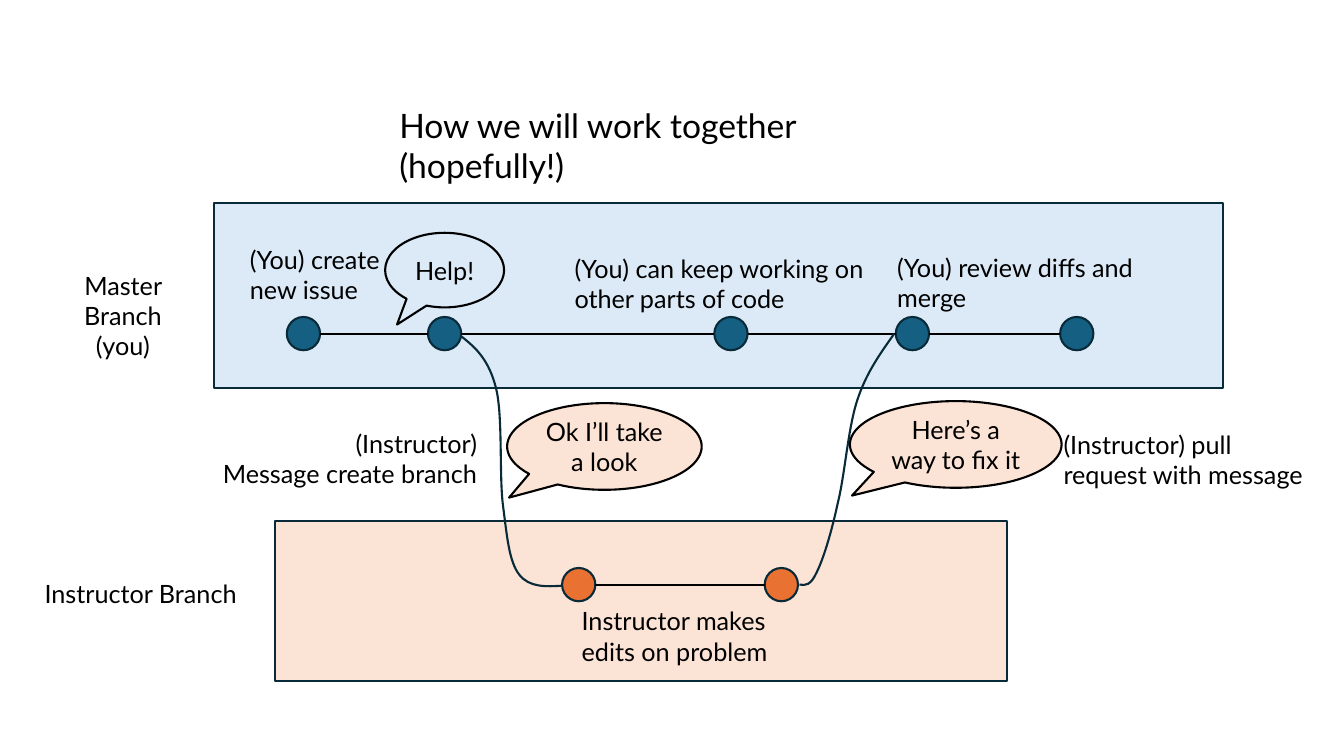
from dataclasses import dataclass
from itertools import pairwise

from lxml import etree
from pptx import Presentation
from pptx import util as u
from pptx.dml import color
from pptx.enum import shapes, text
from pptx.oxml import ns


@dataclass(frozen=True)
class Theme:
    font: str = "Lato"
    title: int = 24
    body: int = 18
    line: float = 1.5
    black: str = "000000"
    outline: str = "092A39"
    master: str = "DCEAF7"
    master_dot: str = "156082"
    instructor: str = "FBE3D6"
    instructor_dot: str = "E97132"


LEFT, CENTER, RIGHT = text.PP_ALIGN.LEFT, text.PP_ALIGN.CENTER, text.PP_ALIGN.RIGHT
CELL = u.Inches(0.1)  # one column or row of the grid
DOT = 3.3


def grid(*cells):
    return [round(c * CELL) for c in cells]


class Diagram:
    def __init__(self, slide, theme):
        self.s, self.t = slide, theme

    def rgb(self, value):
        return color.RGBColor.from_string(value)

    def stroke(self, item, value):
        item.line.color.rgb = self.rgb(value)
        item.line.width = u.Pt(self.t.line)

    def set_text(self, tf, words, align, size):
        tf.word_wrap = True
        tf.text = words
        for p in tf.paragraphs:
            p.alignment = align
            p.font.name, p.font.size = self.t.font, u.Pt(size)
            p.font.color.rgb = self.rgb(self.t.black)

    def title(self, words, box):
        sp = self.s.shapes.title
        sp.left, sp.top, sp.width, sp.height = grid(*box)
        self.set_text(sp.text_frame, words, LEFT, self.t.title)
        sp.text_frame.vertical_anchor = text.MSO_ANCHOR.TOP
        sp.text_frame.auto_size = text.MSO_AUTO_SIZE.SHAPE_TO_FIT_TEXT

    def label(self, words, box, align=LEFT):
        tf = self.s.shapes.add_textbox(*grid(*box)).text_frame
        self.set_text(tf, words, align, self.t.body)
        tf.auto_size = text.MSO_AUTO_SIZE.SHAPE_TO_FIT_TEXT

    def shape(self, kind, box, fill, line):
        sp = self.s.shapes.add_shape(kind, *grid(*box))
        sp.shadow.inherit = False
        sp.fill.solid()
        sp.fill.fore_color.rgb = self.rgb(fill)
        self.stroke(sp, line)
        return sp

    def band(self, box, fill):
        self.shape(shapes.MSO_SHAPE.RECTANGLE, box, fill, self.t.outline)

    def callout(self, words, box, fill, tail):
        sp = self.shape(shapes.MSO_SHAPE.OVAL_CALLOUT, box, fill, self.t.black)
        sp.adjustments[0], sp.adjustments[1] = tail
        self.set_text(sp.text_frame, words, CENTER, self.t.body)
        sp.text_frame.vertical_anchor = text.MSO_ANCHOR.MIDDLE

    def commits(self, centers, y, fill):
        """A row of dots, each joined to the next by a line."""
        for x in centers:
            box = (x - DOT / 2, y - DOT / 2, DOT, DOT)
            self.shape(shapes.MSO_SHAPE.OVAL, box, fill, self.t.outline)
        for a, b in pairwise(centers):
            ends = grid(a + DOT / 2, y, b - DOT / 2, y)
            line = self.s.shapes.add_connector(shapes.MSO_CONNECTOR.STRAIGHT, *ends)
            self.stroke(line, self.t.black)
            etree.SubElement(line._element.spPr, ns.qn("a:effectLst"))

    def curve(self, start, *points):
        """A Bezier curve: two control points and an end point per segment."""
        fb = self.s.shapes.build_freeform(*grid(*start))
        fb.add_line_segments([grid(*pt) for pt in points], close=False)
        sp = fb.convert_to_shape()
        sp.shadow.inherit = False
        sp.fill.background()
        self.stroke(sp, self.t.outline)
        steps = list(sp._element.iter(ns.qn("a:lnTo")))
        for i in range(0, len(steps), 3):
            bezier = etree.Element(ns.qn("a:cubicBezTo"))
            steps[i].addprevious(bezier)
            for step in steps[i:i + 3]:
                bezier.append(step[0])
                step.getparent().remove(step)


def main():
    prs = Presentation()
    prs.slide_width, prs.slide_height = u.Inches(13.33), u.Inches(7.5)
    t = Theme()
    d = Diagram(prs.slides.add_slide(prs.slide_layouts[5]), t)
    d.title("How we will work together (hopefully!)", (38.6, 9.9, 56.8, 9))

    # Branches and their commits
    d.band((27.3, 51.7, 72.6, 15.9), t.instructor)
    d.band((21.2, 20.1, 100.1, 18.4), t.master)
    d.commits((30.1, 44.1, 72.5, 90.5, 106.8), 33.1, t.master_dot)
    d.commits((57.4, 77.5), 58, t.instructor_dot)

    # Branching out and merging back
    d.curve((45.8, 33.4), (47.2, 34.5), (48.5, 35.7), (49.2, 38.5),
            (49.9, 41.3), (49.5, 47.2), (49.9, 50.2),
            (50.3, 53.3), (50.5, 55.7), (51.5, 57),
            (52.5, 58.3), (54.2, 58.2), (55.8, 58.1))
    d.curve((79.3, 58), (79.9, 58.1), (80.4, 58.1), (81, 56.8),
            (81.7, 55.4), (82.5, 52.7), (83.1, 49.9),
            (83.8, 47.1), (84.1, 42.6), (85, 39.8),
            (85.9, 37), (87.3, 35.1), (88.7, 33.1))

    # Labels
    d.label("Master Branch\n(you)", (3.7, 26.3, 17, 10.1), CENTER)
    d.label("Instructor Branch", (2.2, 56.9, 23.5, 4), CENTER)
    d.label("(Instructor)\nMessage create branch", (19.3, 42, 29, 7.1), RIGHT)
    d.label("Instructor makes edits on problem", (56.7, 59.6, 21.8, 7.1))
    d.label("(Instructor) pull request with message", (104.5, 42.1, 27, 7.1))
    d.label("(You) review diffs and merge", (88, 24.5, 30, 7.1))
    d.label("(You) create new issue", (23.8, 23.7, 15.2, 7.1))
    d.label("(You) can keep working on other parts of code", (56, 24.6, 31, 7.1))

    # Speech bubbles
    d.callout("Help!", (38.2, 23.1, 11.8, 7.4), t.master, (-0.4, 0.73))
    d.callout("Ok I’ll take a look", (50.3, 40, 19.3, 8.6), t.instructor, (-0.49, 0.59))
    d.callout("Here’s a way to fix it", (84.3, 39.8, 21, 8.6), t.instructor, (-0.49, 0.59))

    prs.save("out.pptx")


if __name__ == "__main__":
    main()
